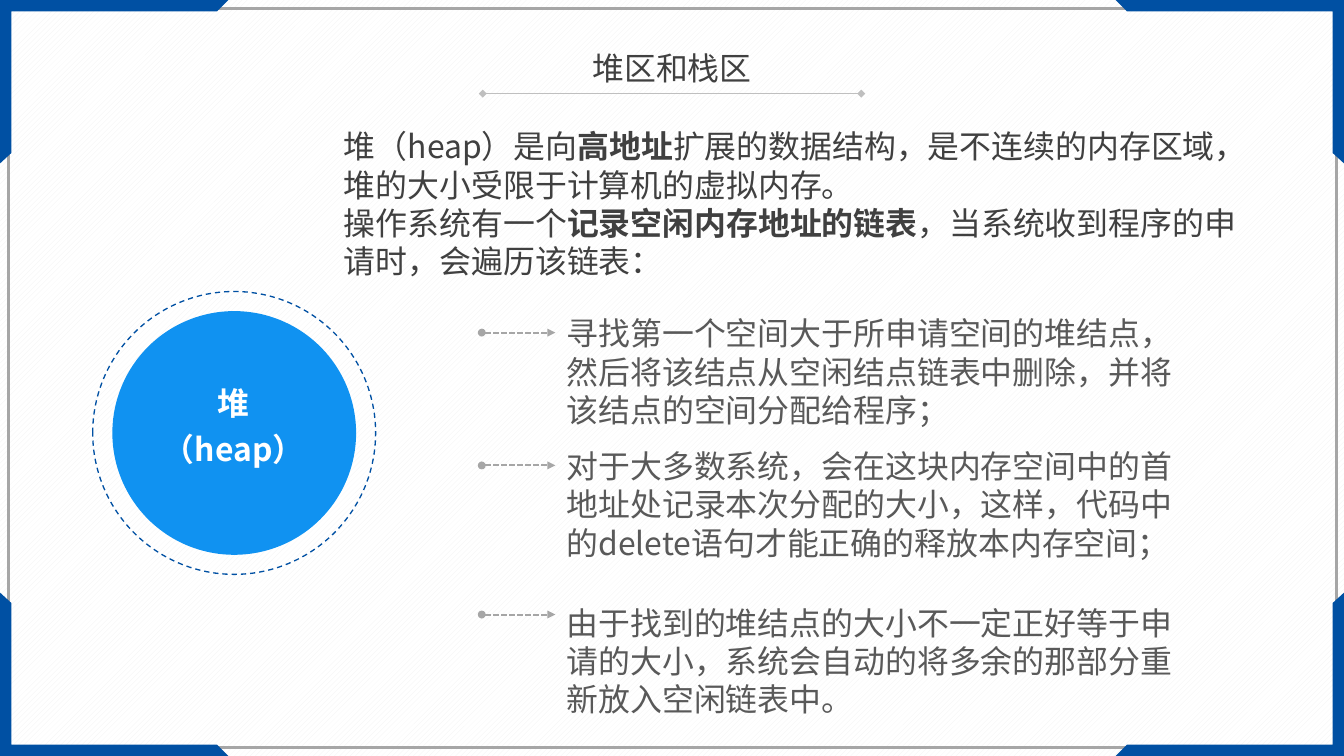
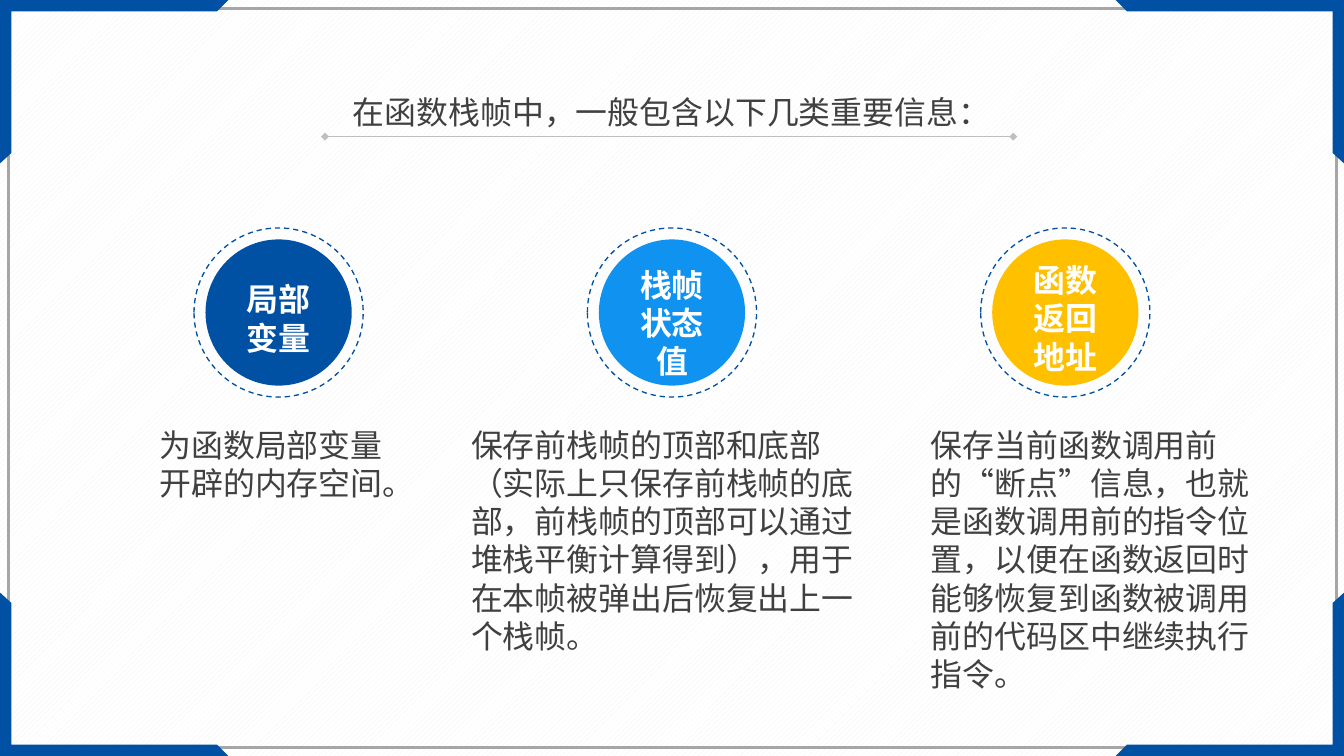
from lxml import etree
from pptx import Presentation
from pptx.dml.color import RGBColor
from pptx.enum import dml, shapes, text
from pptx.oxml.ns import qn
from pptx.util import Inches, Pt

WIDTH, HEIGHT = 14.06, 7.91
FONT = "Noto Sans CJK SC"
NAVY, BLUE, GOLD, WHITE = "0050A3", "1092F1", "FFC000", "FFFFFF"
INK, SOFT_INK, GREY, PALE, STRIPE = "404040", "595959", "A6A6A6", "BFBFBF", "F2F2F2"

# Content: paragraphs are lists of (words, bold) spans
HEAP_TITLE = "堆区和栈区"
HEAP_LABEL = ["堆", "（heap）"]
HEAP_INTRO = [
    [("堆（heap）是向", False), ("高地址", True),
     ("扩展的数据结构，是不连续的内存区域，堆的大小受限于计算机的虚拟内存。", False)],
    [("操作系统有一个", False), ("记录空闲内存地址的链表", True),
     ("，当系统收到程序的申请时，会遍历该链表：", False)],
]
# words, text top, arrow height
HEAP_STEPS = [
    ("寻找第一个空间大于所申请空间的堆结点，然后将该结点从空闲结点链表中删除，"
     "并将该结点的空间分配给程序；", 3.23, 3.48),
    ("对于大多数系统，会在这块内存空间中的首地址处记录本次分配的大小，这样，"
     "代码中的delete语句才能正确的释放本内存空间；", 4.62, 4.87),
    ("由于找到的堆结点的大小不一定正好等于申请的大小，"
     "系统会自动的将多余的那部分重新放入空闲链表中。", 6.26, 6.43),
]
FRAME_TITLE = "在函数栈帧中，一般包含以下几类重要信息："
# label, label top, disc colour, words, text left, text width
FRAME_PARTS = [
    ("局部变量", 2.88, NAVY, "为函数局部变量开辟的内存空间。", 1.57, 2.69),
    ("栈帧状态值", 2.73, BLUE,
     "保存前栈帧的顶部和底部（实际上只保存前栈帧的底部，前栈帧的顶部可以通过"
     "堆栈平衡计算得到），用于在本帧被弹出后恢复出上一个栈帧。", 4.83, 4.25),
    ("函数返回地址", 2.68, GOLD,
     "保存当前函数调用前的“断点”信息，也就是函数调用前的指令位置，"
     "以便在函数返回时能够恢复到函数被调用前的代码区中继续执行指令。", 9.64, 3.77),
]
CORNER = [(0, 0), (2.39, 0), (2.27, 0.12), (0.12, 0.12), (0.12, 1.6), (0, 1.71)]


def colour(value):
    return RGBColor.from_string(value)


def inches(*lengths):
    return [Inches(length) for length in lengths]


def paint(shape, fill=None, line=None, width=1, dash=None):
    shape.shadow.inherit = False
    if fill:
        shape.fill.solid()
        shape.fill.fore_color.rgb = colour(fill)
    else:
        shape.fill.background()
    if line:
        shape.line.color.rgb = colour(line)
        shape.line.width = Pt(width)
        shape.line.dash_style = dash
    else:
        shape.line.fill.background()
    return shape


def write(box, paragraphs, ink=INK, bold=False, centred=False, middle=False,
          wrap=True, spacing=1.0):
    frame = box.text_frame
    settings = {
        "word_wrap": wrap,
        "auto_size": text.MSO_AUTO_SIZE.NONE,
        "vertical_anchor": text.MSO_ANCHOR.MIDDLE if middle else text.MSO_ANCHOR.TOP,
    }
    for name, value in settings.items():
        setattr(frame, name, value)
    for index, content in enumerate(paragraphs):
        para = frame.add_paragraph() if index else frame.paragraphs[0]
        para.alignment = text.PP_ALIGN.CENTER if centred else text.PP_ALIGN.LEFT
        para.line_spacing = spacing
        spans = [(content, bold)] if isinstance(content, str) else content
        for words, strong in spans:
            span = para.add_run()
            span.text = words
            for name, value in {"size": Pt(24), "name": FONT, "bold": strong}.items():
                setattr(span.font, name, value)
            span.font.color.rgb = colour(ink)
            east_asian = etree.SubElement(span.font._element, qn("a:ea"))
            east_asian.set("typeface", FONT)


def add_text(page, place, paragraphs, **style):
    write(page.shapes.add_textbox(*inches(*place)), paragraphs, **style)


def add_rule(page, left, right, height, ink, width, head, tail, dash=None):
    rule = page.shapes.add_connector(
        shapes.MSO_CONNECTOR.STRAIGHT, *inches(left, height, right, height))
    rule.line.color.rgb = colour(ink)
    rule.line.width = Pt(width)
    rule.line.dash_style = dash
    outline = rule.line._get_or_add_ln()
    for tag, kind in (("a:headEnd", head), ("a:tailEnd", tail)):
        etree.SubElement(outline, qn(tag)).set("type", kind)
    etree.SubElement(rule.element.spPr, qn("a:effectLst"))


def add_title(page, words, place, rule_left, rule_right, rule_height):
    title = page.shapes.title
    title.left, title.top, title.width, title.height = inches(*place)
    write(title, [words], centred=True, wrap=False)
    add_rule(page, rule_left, rule_right, rule_height, PALE, 0.5, "diamond", "diamond")


def add_ringed_disc(page, centre, middle, ring, disc, fill):
    for size, style in (
        (ring, {"line": NAVY, "dash": dml.MSO_LINE.DASH}),
        (disc, {"fill": fill}),
    ):
        paint(page.shapes.add_shape(
            shapes.MSO_SHAPE.OVAL,
            *inches(centre - size / 2, middle - size / 2, size, size)), **style)


def decorate_layout(layout, page):
    """Draw the shared frame on a page, then move it to the layout."""
    fill = layout.background.fill
    fill.patterned()
    fill.pattern = dml.MSO_PATTERN.WIDE_UPWARD_DIAGONAL
    fill.fore_color.rgb = colour(STRIPE)
    fill.back_color.rgb = colour(WHITE)
    border = page.shapes.add_shape(
        shapes.MSO_SHAPE.RECTANGLE, *inches(0.09, 0.09, 13.89, 7.73))
    parts = [paint(border, line=GREY, width=2)]
    for flip_x in (False, True):
        for flip_y in (False, True):
            points = [inches(WIDTH - x if flip_x else x, HEIGHT - y if flip_y else y)
                      for x, y in CORNER]
            builder = page.shapes.build_freeform(*points[0], scale=1.0)
            builder.add_line_segments(points[1:], close=True)
            parts.append(paint(builder.convert_to_shape(), fill=NAVY))
    for index, part in enumerate(parts):
        part.element.nvSpPr.cNvPr.id = 100 + index
        layout.shapes.element.insert(2 + index, part.element)


def build_heap(page):
    add_title(page, HEAP_TITLE, (6.09, 0.46, 1.88, 0.5), 5.05, 9.01, 0.98)
    add_ringed_disc(page, 2.45, 4.53, 2.96, 2.55, BLUE)
    add_text(page, (1.41, 3.89, 2.07, 1.03), HEAP_LABEL,
             ink=WHITE, bold=True, centred=True, spacing=1.2)
    add_text(page, (3.5, 1.28, 9.75, 2.11), HEAP_INTRO)
    for words, top, arrow in HEAP_STEPS:
        add_text(page, (5.83, top, 6.66, 1.31), [words], ink=SOFT_INK, middle=True)
        add_rule(page, 5.04, 5.81, arrow, GREY, 1.5, "oval", "triangle",
                 dml.MSO_LINE.SQUARE_DOT)


def build_frame(page):
    add_title(page, FRAME_TITLE, (3.56, 0.92, 6.93, 0.5), 3.4, 10.6, 1.43)
    pitch, label_width = 4.115, 1.1
    for index, (label, top, fill, words, left, width) in enumerate(FRAME_PARTS):
        centre = WIDTH / 2 + (index - 1) * pitch
        add_ringed_disc(page, centre, 3.27, 1.77, 1.53, fill)
        add_text(page, (centre - label_width / 2, top, label_width, 1.31), [label],
                 ink=WHITE, bold=True, centred=True)
        add_text(page, (left, 4.4, width, 2.92), [words])


def main():
    deck = Presentation()
    deck.slide_width, deck.slide_height = inches(WIDTH, HEIGHT)
    layout = deck.slide_layouts[5]
    pages = [deck.slides.add_slide(layout) for _ in range(2)]
    decorate_layout(layout, pages[0])
    for build, page in zip((build_heap, build_frame), pages):
        build(page)
    deck.save("out.pptx")


if __name__ == "__main__":
    main()
